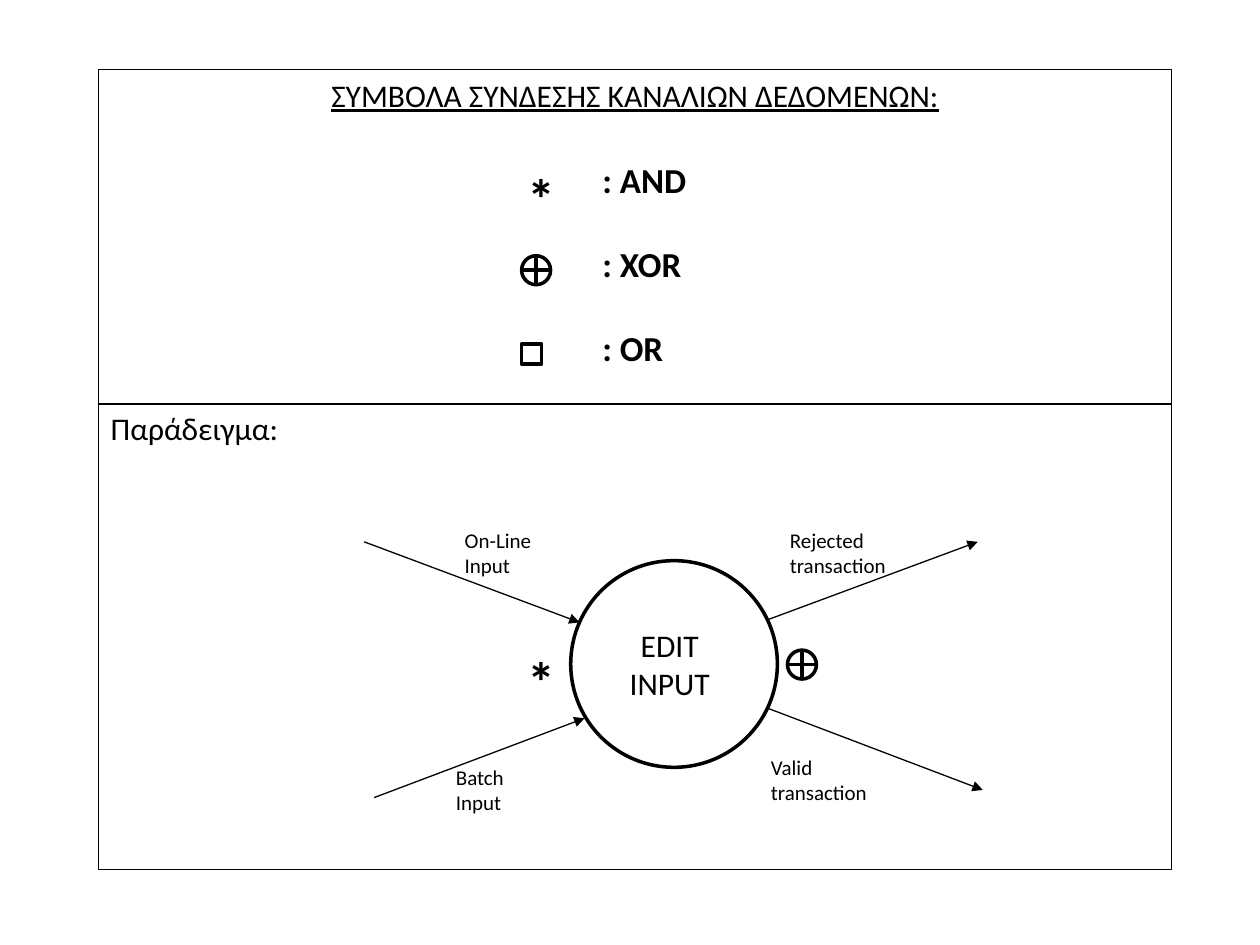
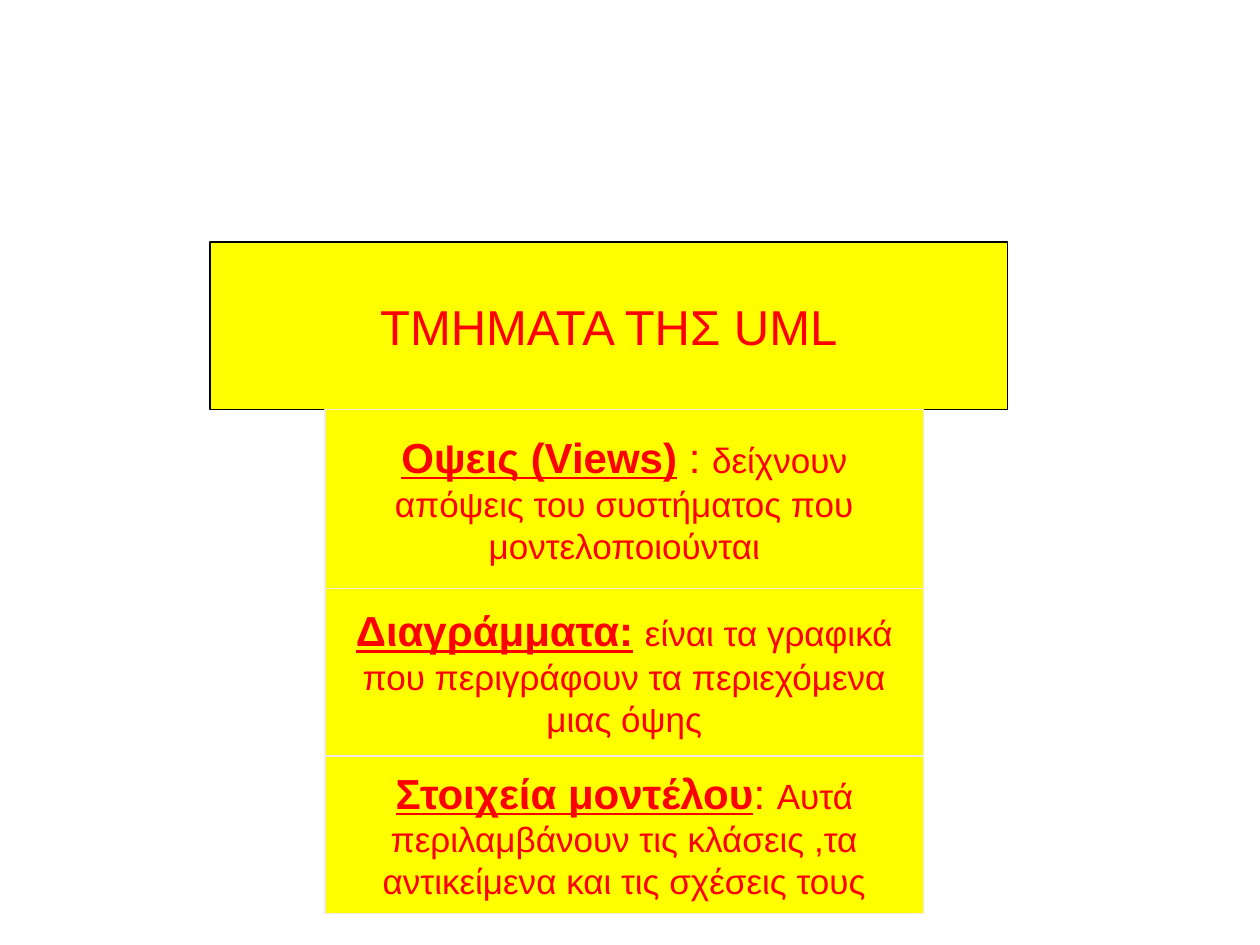
from dataclasses import dataclass
from lxml.etree import SubElement
from pptx import Presentation
from pptx.dml.color import RGBColor as RGB
from pptx.enum.shapes import MSO_CONNECTOR as LINE, MSO_SHAPE as SHAPE
from pptx.enum.text import MSO_ANCHOR as ANCHOR, MSO_AUTO_SIZE as AUTO, PP_ALIGN as ALIGN
from pptx.oxml.ns import qn
from pptx.util import Inches, Pt


@dataclass(frozen=True)
class Theme:
    ink: RGB = RGB(0, 0, 0)
    red: RGB = RGB(255, 0, 0)
    yellow: RGB = RGB(255, 255, 0)
    edge: RGB = RGB(0xEE, 0xEC, 0xE1)
    diagram_font: str = "Calibri"
    uml_font: str = "Arial"
    label: int = 12
    text: int = 18
    legend: int = 20
    term: int = 24
    heading: int = 28
    star: int = 32
    hairline: float = 0.75
    border: float = 1
    bold_line: float = 2


T = Theme()
W, H = 10, 7.5
FRAME_X, FRAME_W = 0.78, 8.52

SYMBOLS_TITLE = "ΣΥΜΒΟΛΑ ΣΥΝΔΕΣΗΣ ΚΑΝΑΛΙΩΝ ΔΕΔΟΜΕΝΩΝ:"
LEGEND = [("and", ": AND"), ("xor", ": XOR"), ("or", ": OR")]
LEGEND_X, LEGEND_Y, LEGEND_STEP = 4.14, 1.48, 0.665
EXAMPLE = "Παράδειγμα:"
PROCESS = ["EDIT", "INPUT"]
FLOWS = [
    ("On-Line Input", (3.59, 4.14, 0.94), (2.89, 4.3), (4.6, 4.94)),
    ("Batch Input", (3.52, 6.02, 0.94), (2.97, 6.33), (4.64, 5.7)),
    ("Rejected transaction", (6.17, 4.14, 1.02), (6.09, 4.92), (7.76, 4.3)),
    ("Valid transaction", (6.02, 5.94, 1.02), (6.09, 5.62), (7.8, 6.27)),
]
EXAMPLE_MARKS = [("and", 4.14, 5.31), ("xor", 6.25, 5.275)]

UML_TITLE = "ΤΜΗΜΑΤΑ ΤΗΣ UML"
UML_PARTS = [
    (1.42, "Oψεις (Views)", " : ",
     ["δείχνουν", "απόψεις του συστήματος που", "μοντελοποιούνται"]),
    (1.33, "Διαγράμματα:", " ",
     ["είναι τα γραφικά", "που περιγράφουν τα περιεχόμενα", "μιας όψης"]),
    (1.25, "Στοιχεία μοντέλου", ": ",
     ["Αυτά", "περιλαμβάνουν τις κλάσεις ,τα", "αντικείμενα και τις σχέσεις τους"]),
]


def run(p, text, size, font=T.diagram_font, color=T.ink, bold=False, underline=False):
    r = p.add_run()
    r.text = text
    f = r.font
    f.name, f.size, f.bold, f.underline = font, Pt(size), bold, underline
    f.color.rgb = color


def paragraph(tf, first, align=ALIGN.LEFT):
    p = tf.paragraphs[0] if first else tf.add_paragraph()
    p.alignment = align
    return p


def frame(s, anchor=ANCHOR.TOP, wrap=True):
    tf = s.text_frame
    tf.auto_size, tf.word_wrap, tf.vertical_anchor = AUTO.NONE, wrap, anchor
    tf.margin_left = tf.margin_right = Inches(0.1)
    tf.margin_top = tf.margin_bottom = Inches(0.05)
    return tf


def paint(s, width, line=T.ink, fill=None):
    s.line.color.rgb, s.line.width = line, Pt(width)
    if fill is None:
        s.fill.background()
    else:
        s.fill.solid()
        s.fill.fore_color.rgb = fill


def shape(slide, kind, box, width, **colors):
    s = slide.shapes.add_shape(kind, *map(Inches, box))
    s.shadow.inherit = False
    paint(s, width, **colors)
    return s


def title(slide, box, width, **colors):
    s = slide.shapes.title
    s.left, s.top, s.width, s.height = map(Inches, box)
    paint(s, width, **colors)
    return s


def label(slide, box, lines, size, align=ALIGN.LEFT, bold=False):
    tf = frame(slide.shapes.add_textbox(*map(Inches, box)))
    for i, line in enumerate(lines):
        run(paragraph(tf, i == 0, align), line, size, bold=bold)


def mark(slide, kind, x, cy):
    if kind == "and":
        label(slide, (x - 0.12, cy - 0.23, 0.55, 0.64), ["*"], T.star, ALIGN.CENTER, True)
        return
    outline, side = {"xor": (SHAPE.FLOWCHART_OR, 0.23), "or": (SHAPE.RECTANGLE, 0.16)}[kind]
    shape(slide, outline, (x, cy - side / 2, side, side), T.bold_line)


def arrow(slide, start, end):
    s = slide.shapes.add_connector(LINE.STRAIGHT, *map(Inches, start + end))
    s.line.color.rgb, s.line.width = T.ink, Pt(T.hairline)
    sp = s._element.spPr
    SubElement(sp.find(qn("a:ln")), qn("a:tailEnd"), type="triangle")
    SubElement(sp, qn("a:effectLst"))


def symbols_slide(slide):
    tf = frame(title(slide, (FRAME_X, 0.55, FRAME_W, 2.66), T.hairline))
    run(paragraph(tf, True, ALIGN.CENTER), SYMBOLS_TITLE, T.text, underline=True)
    for i, (kind, text) in enumerate(LEGEND):
        p = paragraph(tf, False)
        p._p.get_or_add_pPr().set("marL", str(Inches(3.9)))
        p.space_before = Pt(24 if i else 26)
        run(p, text, T.legend, bold=True)
        mark(slide, kind, LEGEND_X, LEGEND_Y + i * LEGEND_STEP)

    s = shape(slide, SHAPE.RECTANGLE, (FRAME_X, 3.2, FRAME_W, 3.7), T.hairline)
    run(paragraph(frame(s), True), EXAMPLE, T.text)
    shape(slide, SHAPE.FLOWCHART_CONNECTOR, (4.53, 4.45, 1.64, 1.64), T.bold_line)
    label(slide, (4.77, 4.92, 1.09, 0.7), PROCESS, T.text, ALIGN.CENTER)
    for text, place, start, end in FLOWS:
        arrow(slide, start, end)
        label(slide, place + (0.5,), [text], T.label)
    for kind, x, cy in EXAMPLE_MARKS:
        mark(slide, kind, x, cy)


def uml_slide(slide):
    style = dict(font=T.uml_font, color=T.red)
    s = title(slide, (W / 6, 1.92, 6.33, 1.33), T.border, fill=T.yellow)
    tf = frame(s, ANCHOR.MIDDLE, False)
    run(paragraph(tf, True, ALIGN.CENTER), UML_TITLE, T.heading, **style)

    top = 3.25
    for height, term, gap, lines in UML_PARTS:
        s = shape(slide, SHAPE.RECTANGLE, (2.58, top, 4.75, height), T.border,
                  line=T.edge, fill=T.yellow)
        tf = frame(s, ANCHOR.MIDDLE, False)
        for i, line in enumerate(lines):
            p = paragraph(tf, i == 0, ALIGN.CENTER)
            if i == 0:
                run(p, term, T.term, bold=True, underline=True, **style)
                run(p, gap, T.term, **style)
            run(p, line, T.legend, **style)
        top += height


def main():
    prs = Presentation()
    prs.slide_width, prs.slide_height = Inches(W), Inches(H)
    for build in (symbols_slide, uml_slide):
        build(prs.slides.add_slide(prs.slide_layouts.get_by_name("Title Only")))
    prs.save("out.pptx")


if __name__ == "__main__":
    main()
